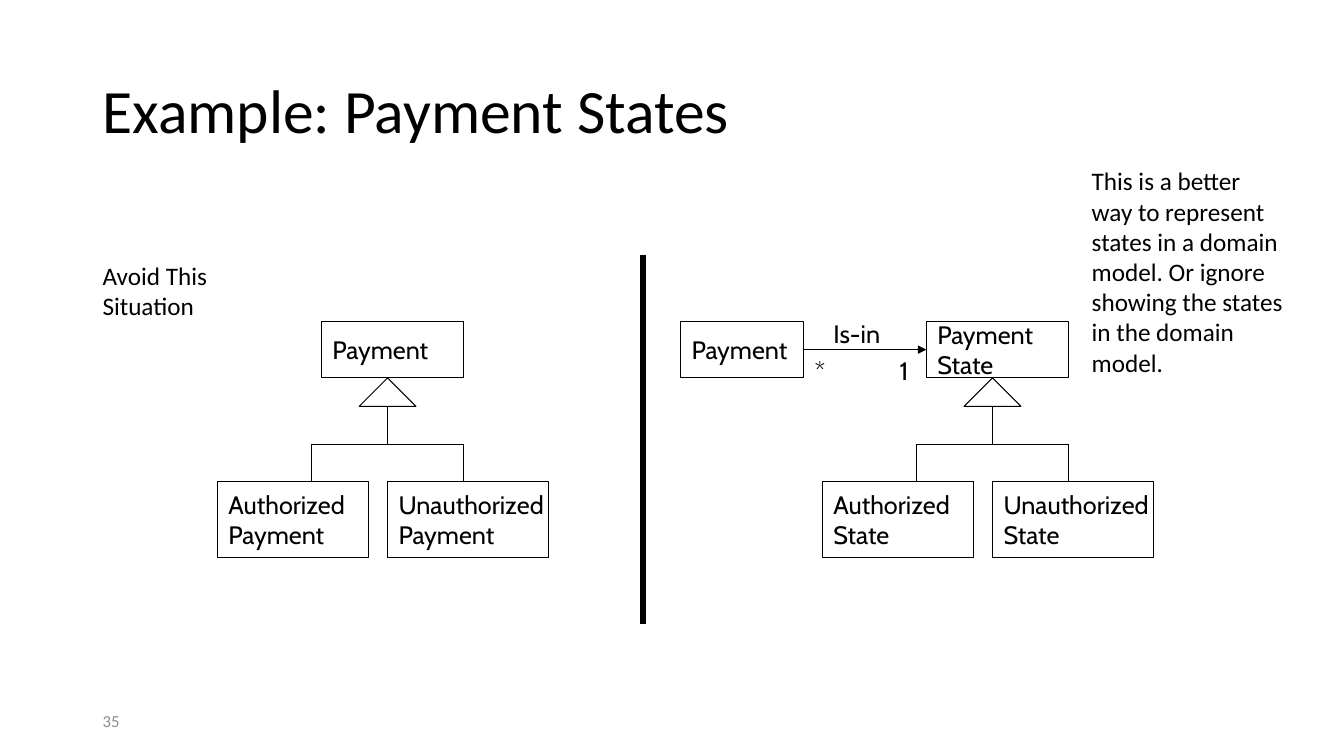
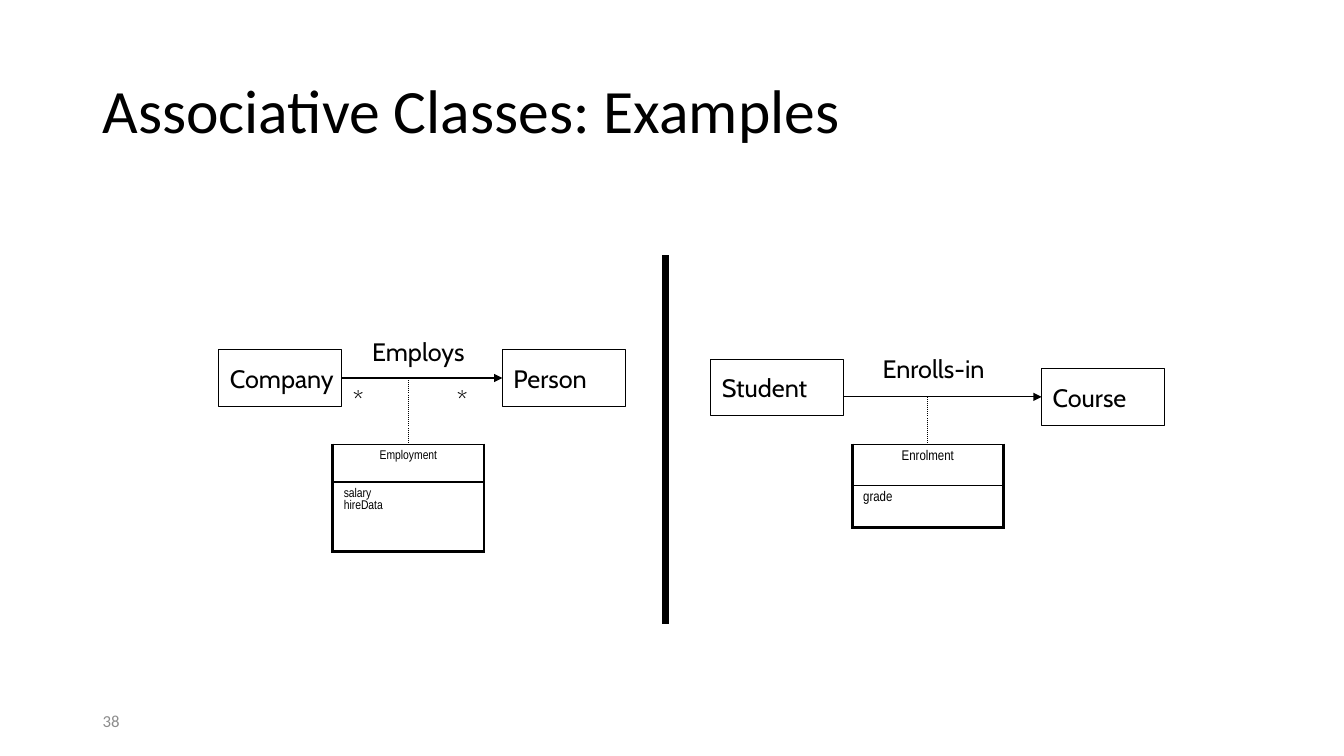
from dataclasses import dataclass
from typing import Optional

from lxml.etree import SubElement
from pptx import Presentation
from pptx.dml.color import RGBColor
from pptx.enum.dml import MSO_LINE
from pptx.enum.shapes import MSO_CONNECTOR, MSO_SHAPE
from pptx.enum.text import MSO_ANCHOR, MSO_AUTO_SIZE, PP_ALIGN
from pptx.oxml.ns import qn
from pptx.util import Inches, Pt


@dataclass(frozen=True)
class Theme:
    ink: str = "000000"
    muted: str = "8C8C8C"
    body_font: str = "Calibri"
    diagram_font: str = "Cabin"
    table_font: str = "Arial Narrow"
    title_size: float = 44
    text_size: float = 18
    footer_size: float = 12
    thin: float = 0.75
    rule: float = 1
    frame: float = 2.25
    divider: float = 4.5
    inset_x: float = 0.11
    inset_y: float = 0.06


@dataclass(frozen=True)
class Area:
    column: float
    row: float
    columns: float
    rows: float

    def lengths(self):
        return [cell(value) for value in (self.column, self.row, self.columns, self.rows)]


@dataclass(frozen=True)
class ClassBox:
    text: str
    area: Area


@dataclass(frozen=True)
class Label:
    text: str
    column: float
    row: float
    columns: float = 4


@dataclass(frozen=True)
class ClassTable:
    name: str
    attributes: str
    column: float
    heights: tuple
    size: float


THEME = Theme()
WIDTH, HEIGHT = 13.33, 7.5
GRID_ROWS = 80
MARGIN = 9.8
BOX_ROWS = 6
TABLE_ROW, TABLE_COLUMNS = 47, 16
TREE_SHIFT = 64


def cell(count: float) -> int:
    return Inches(HEIGHT / GRID_ROWS * count)


def color(value: str) -> RGBColor:
    return RGBColor.from_string(value)


def style_text(frame, font: str, size: float, ink: str = THEME.ink) -> None:
    for paragraph in frame.paragraphs:
        paragraph.alignment = PP_ALIGN.LEFT
        for run in paragraph.runs:
            run.font.name = font
            run.font.size = Pt(size)
            run.font.color.rgb = color(ink)


def set_insets(frame) -> None:
    frame.margin_left = frame.margin_right = Inches(THEME.inset_x)
    frame.margin_top = frame.margin_bottom = Inches(THEME.inset_y)


def draw_text(slide, text: str, area: Area, size: float = THEME.text_size,
              ink: str = THEME.ink, anchor=MSO_ANCHOR.TOP):
    frame = slide.shapes.add_textbox(*area.lengths()).text_frame
    frame.word_wrap = True
    frame.vertical_anchor = anchor
    frame.text = text
    style_text(frame, THEME.body_font, size, ink)
    return frame


def draw_label(slide, label: Label) -> None:
    area = Area(label.column, label.row, label.columns, 4.5)
    frame = slide.shapes.add_textbox(*area.lengths()).text_frame
    set_insets(frame)
    frame.word_wrap = False
    frame.auto_size = MSO_AUTO_SIZE.SHAPE_TO_FIT_TEXT
    frame.text = label.text
    style_text(frame, THEME.diagram_font, THEME.text_size)


def draw_outline(slide, kind, area: Area):
    shape = slide.shapes.add_shape(kind, *area.lengths())
    shape.shadow.inherit = False
    shape.fill.background()
    shape.line.color.rgb = color(THEME.ink)
    shape.line.width = Pt(THEME.thin)
    return shape


def draw_box(slide, box: ClassBox):
    shape = draw_outline(slide, MSO_SHAPE.RECTANGLE, box.area)
    frame = shape.text_frame
    set_insets(frame)
    frame.word_wrap = False
    frame.vertical_anchor = MSO_ANCHOR.MIDDLE
    frame.text = box.text
    style_text(frame, THEME.diagram_font, THEME.text_size)
    return shape


def draw_line(slide, start: tuple, end: tuple, width: float = THEME.thin,
              dash: Optional[MSO_LINE] = None, arrow: bool = False):
    points = [cell(value) for value in (*start, *end)]
    connector = slide.shapes.add_connector(MSO_CONNECTOR.STRAIGHT, *points)
    connector.line.color.rgb = color(THEME.ink)
    connector.line.width = Pt(width)
    if dash is not None:
        connector.line.dash_style = dash
    properties = connector.element.find(qn("p:spPr"))
    if arrow:
        SubElement(properties.find(qn("a:ln")), qn("a:tailEnd"), type="triangle")
    SubElement(properties, qn("a:effectLst"))
    return connector


def draw_divider(slide, column: float) -> None:
    draw_line(slide, (column, 27), (column, 66), THEME.divider)


def draw_tree(slide, shift: float, children: tuple) -> None:
    left, middle, right = 33 + shift, 41 + shift, 49 + shift
    draw_outline(slide, MSO_SHAPE.ISOSCELES_TRIANGLE, Area(middle - 3, 40, 6, 3))
    draw_line(slide, (middle, 43), (middle, 47))
    draw_line(slide, (left, 47), (right, 47))
    for column in (left, right):
        draw_line(slide, (column, 47), (column, 51))
    for text, column, columns in zip(children, (23, 41), (16, 17)):
        draw_box(slide, ClassBox(text, Area(column + shift, 51, columns, 8)))


def set_border(table_cell, side: str, width: float) -> None:
    border = SubElement(table_cell._tc.get_or_add_tcPr(), qn(f"a:{side}"), w=str(Pt(width)))
    fill = SubElement(border, qn("a:solidFill"))
    SubElement(fill, qn("a:srgbClr"), val=THEME.ink)


def draw_table(slide, item: ClassTable, association_row: float) -> None:
    area = Area(item.column, TABLE_ROW, TABLE_COLUMNS, sum(item.heights))
    table = slide.shapes.add_table(2, 1, *area.lengths()).table
    table.first_row = table.horz_banding = False
    bottoms = (THEME.rule, THEME.frame)
    alignments = (PP_ALIGN.CENTER, PP_ALIGN.LEFT)
    for index, text in enumerate((item.name, item.attributes)):
        table.rows[index].height = cell(item.heights[index])
        table_cell = table.cell(index, 0)
        set_insets(table_cell)
        table_cell.text_frame.text = text
        style_text(table_cell.text_frame, THEME.table_font, item.size)
        for paragraph in table_cell.text_frame.paragraphs:
            paragraph.alignment = alignments[index]
        widths = {"lnL": THEME.frame, "lnR": THEME.frame, "lnT": THEME.rule, "lnB": bottoms[index]}
        for side, width in widths.items():
            set_border(table_cell, side, width)
        table_cell.fill.background()
    middle = item.column + TABLE_COLUMNS / 2
    draw_line(slide, (middle, association_row), (middle, TABLE_ROW), dash=MSO_LINE.ROUND_DOT)


def add_slide(presentation, title: str, number: str):
    slide = presentation.slides.add_slide(presentation.slide_layouts[6])
    draw_text(slide, number, Area(MARGIN, 74.1, 32, 4.3), THEME.footer_size,
              THEME.muted, MSO_ANCHOR.MIDDLE)
    frame = draw_text(slide, title, Area(MARGIN, 4.3, 122.7, 15.4), THEME.title_size,
                      anchor=MSO_ANCHOR.MIDDLE)
    frame.paragraphs[0].line_spacing = 0.9
    return slide


def build_payment_states(presentation) -> None:
    slide = add_slide(presentation, "Example: Payment States", "35")
    draw_box(slide, ClassBox("Payment", Area(34, 34, 15, BOX_ROWS)))
    draw_tree(slide, 0, ("Authorized\nPayment", "Unauthorized\nPayment"))
    payment = draw_box(slide, ClassBox("Payment", Area(72, 34, 13, BOX_ROWS)))
    state = draw_box(slide, ClassBox("Payment\nState", Area(98, 34, 15, BOX_ROWS)))
    draw_tree(slide, TREE_SHIFT, ("Authorized\nState", "Unauthorized\nState"))
    for label in (Label("*", 85, 37), Label("1", 94, 37), Label("Is-in", 87, 33, 7.7)):
        draw_label(slide, label)
    association = draw_line(slide, (85, 37), (98, 37), arrow=True)
    association.begin_connect(payment, 3)
    association.end_connect(state, 1)
    draw_divider(slide, 68)
    draw_text(slide, "Avoid This Situation", Area(MARGIN, 27, 22.3, 7.5))
    draw_text(slide, "This is a better way to represent states in a domain model. "
              "Or ignore showing the states in the domain model.",
              Area(114.45, 17, 22.3, 23.7))


def build_associative_classes(presentation) -> None:
    slide = add_slide(presentation, "Associative Classes: Examples", "38")
    company, person, student, course = [
        draw_box(slide, ClassBox(text, Area(column, row, columns, BOX_ROWS)))
        for text, column, row, columns in (
            ("Company", 23.15, 37, 13),
            ("Person", 53.15, 37, 13),
            ("Student", 75.2, 38, 14),
            ("Course", 110.2, 39, 13),
        )
    ]
    for label in (Label("*", 36.15, 40), Label("*", 47.15, 40),
                  Label("Employs", 38.2, 35, 12.3), Label("Enrolls-in", 92.2, 36.7, 13.2)):
        draw_label(slide, label)
    employs = draw_line(slide, (36.15, 40), (53.15, 40), arrow=True)
    employs.begin_connect(company, 3)
    employs.end_connect(person, 1)
    enrolls = draw_line(slide, (89.2, 42), (110.2, 42), arrow=True)
    enrolls.end_connect(course, 1)
    draw_table(slide, ClassTable("Employment", "salary\nhireData", 35.2, (4, 7.33), 9), 40)
    draw_table(slide, ClassTable("Enrolment", "grade", 90.15, (4.4, 4.4), 10), 42)
    draw_divider(slide, 70.4)


def main() -> None:
    presentation = Presentation()
    presentation.slide_width = Inches(WIDTH)
    presentation.slide_height = Inches(HEIGHT)
    build_payment_states(presentation)
    build_associative_classes(presentation)
    presentation.save("out.pptx")


if __name__ == "__main__":
    main()
